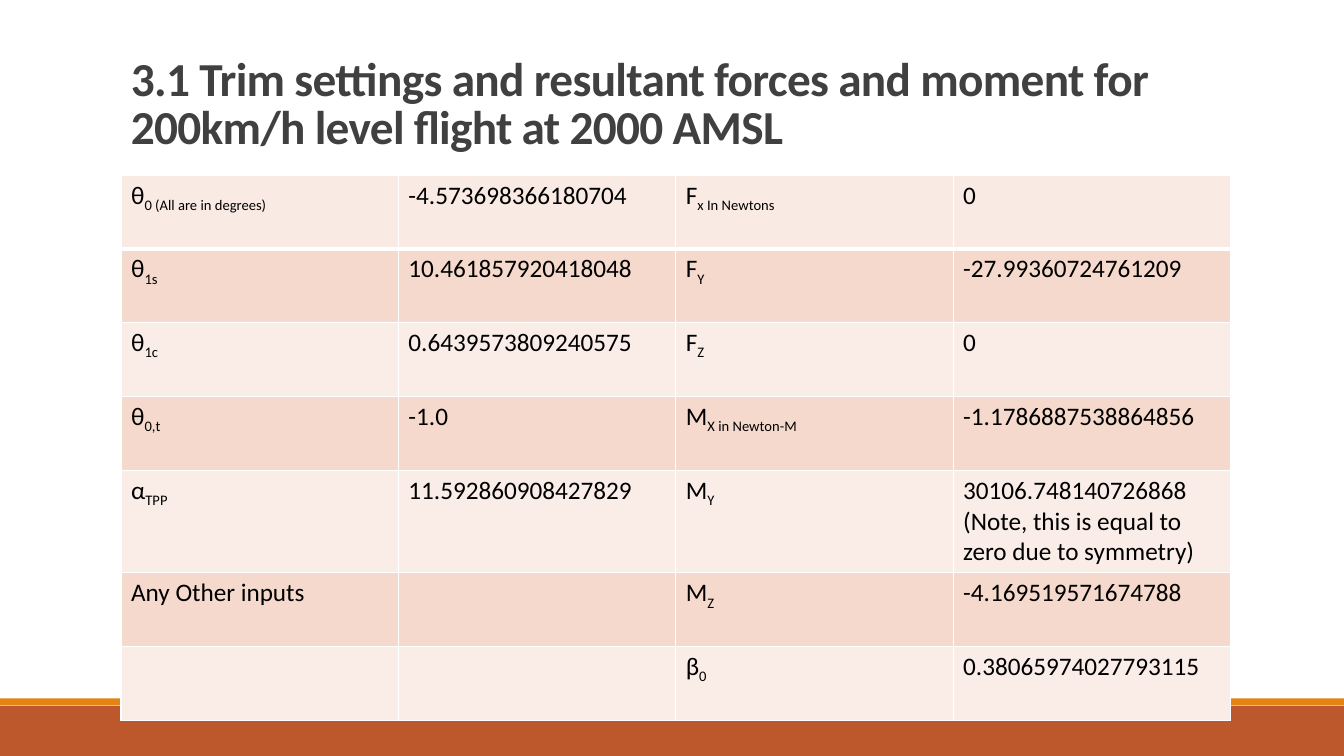
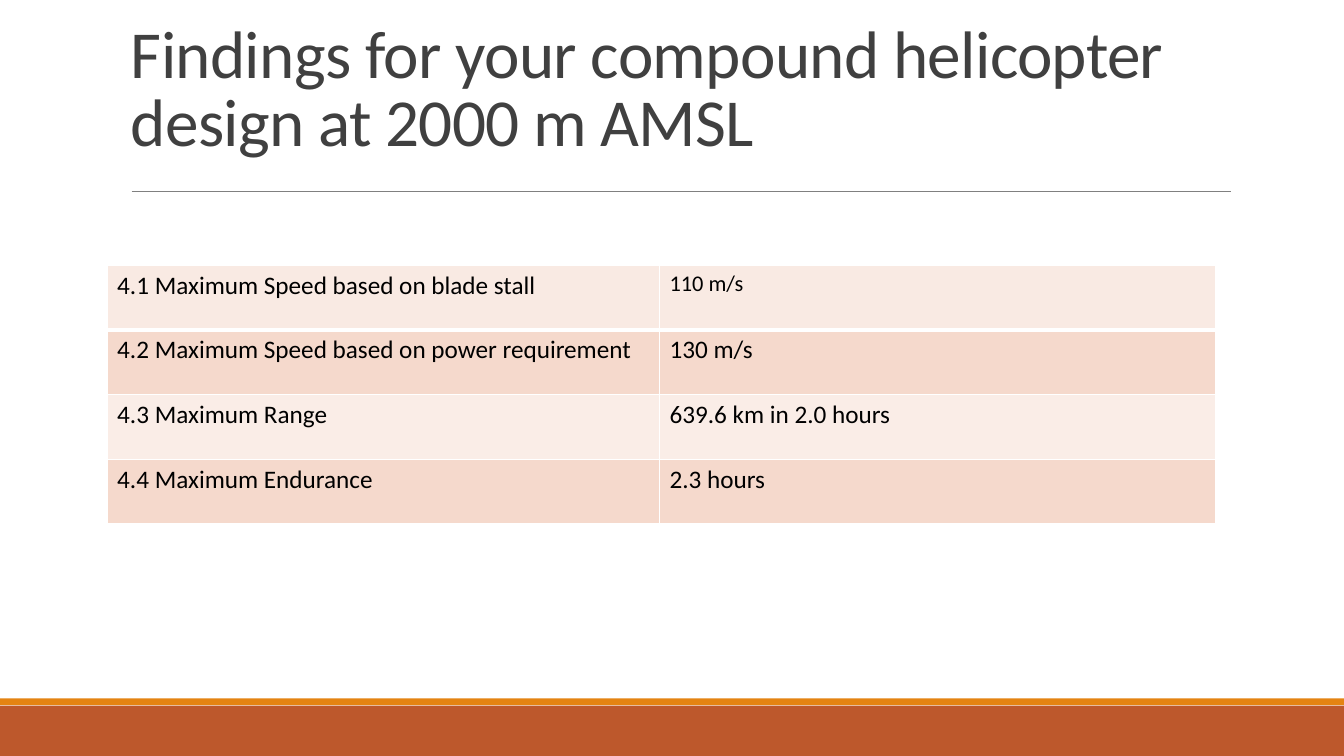
from dataclasses import dataclass

from lxml import etree
from pptx import Presentation
from pptx.dml import color
from pptx.enum import shapes, text
from pptx.oxml import ns
from pptx.util import Cm, Pt


@dataclass(frozen=True)
class Theme:
    font: str = "Calibri"
    band: str = "BD582C"
    stripe: str = "E48312"
    rule: str = "808080"
    title: str = "404040"
    body: str = "000000"
    border: str = "FFFFFF"
    header_fill: str = "F9EAE3"
    dark_fill: str = "F5D9CC"
    light_fill: str = "FAEDE7"
    title_size: float = 48
    long_title_size: float = 33.8
    body_size: float = 18
    small_size: float = 16
    rule_width: float = 0.5
    border_width: float = 0.96
    header_border_width: float = 3


THEME = Theme()
WIDTH, HEIGHT = 33.87, 19.05

TRIM_ROWS = [
    ["θ_0 (All are in degrees)", "-4.573698366180704", "F_x In Newtons", "0"],
    ["θ_1s", "10.461857920418048", "F_Y", "-27.99360724761209"],
    ["θ_1c", "0.6439573809240575", "F_Z", "0"],
    ["θ_0,t", "-1.0", "M_X in Newton-M", "-1.1786887538864856"],
    ["α_TPP", "11.592860908427829", "M_Y",
     "30106.748140726868\n(Note, this is equal to zero due to symmetry)"],
    ["Any Other inputs", "", "M_Z", "-4.169519571674788"],
    ["", "", "β_0", "0.38065974027793115"],
]

FINDINGS_ROWS = [
    ["4.1 Maximum Speed based on blade stall", "110 m/s"],
    ["4.2 Maximum Speed based on power requirement", "130 m/s"],
    ["4.3 Maximum Range", "639.6 km in 2.0 hours"],
    ["4.4 Maximum Endurance", "2.3 hours"],
]


def rgb(value):
    return color.RGBColor.from_string(value)


def set_attrs(obj, values):
    for name, value in values.items():
        setattr(obj, name, value)


def format_run(r, size, colour, bold=False, **xml_attrs):
    set_attrs(r.font, {"name": THEME.font, "size": Pt(size), "bold": bold})
    r.font.color.rgb = rgb(colour)
    rPr = r._r.get_or_add_rPr()
    for name, value in xml_attrs.items():
        rPr.set(name, value)


def add_bar(s, top, height, fill):
    sp = s.shapes.add_shape(
        shapes.MSO_SHAPE.RECTANGLE, 0, Cm(top), Cm(WIDTH), Cm(height))
    sp.shadow.inherit = False
    sp.fill.solid()
    sp.fill.fore_color.rgb = rgb(fill)
    sp.line.fill.background()


def add_rule(s, left, right, top):
    sp = s.shapes.add_connector(
        shapes.MSO_CONNECTOR.STRAIGHT, Cm(left), Cm(top), Cm(right), Cm(top))
    sp.line.color.rgb = rgb(THEME.rule)
    sp.line.width = Pt(THEME.rule_width)
    etree.SubElement(sp._element.spPr, ns.qn("a:effectLst"))


def add_title(s, top, height, words, size, bold=False):
    sp = s.shapes.add_textbox(Cm(3.05), Cm(top), Cm(27.94), Cm(height))
    tf = sp.text_frame
    set_attrs(tf, {"word_wrap": True, "vertical_anchor": text.MSO_ANCHOR.BOTTOM})
    p = tf.paragraphs[0]
    p.line_spacing = 0.85
    r = p.add_run()
    r.text = words
    format_run(r, size, THEME.title, bold, spc="-50")


def add_border(cell, side, width):
    ln = etree.SubElement(
        cell._tc.get_or_add_tcPr(), ns.qn(f"a:ln{side}"), w=str(Pt(width)))
    fill = etree.SubElement(ln, ns.qn("a:solidFill"))
    etree.SubElement(fill, ns.qn("a:srgbClr"), val=THEME.border)


def style_cell(cell, row):
    heavy = {(0, "B"), (1, "T")}
    for side in "LRTB":
        add_border(cell, side, THEME.header_border_width
                   if (row, side) in heavy else THEME.border_width)
    bands = (THEME.light_fill, THEME.dark_fill)
    cell.fill.solid()
    cell.fill.fore_color.rgb = rgb(bands[row % 2] if row else THEME.header_fill)


def write_cell(cell, words, size):
    base, _, subscript = words.partition("_")
    p = cell.text_frame.paragraphs[0]
    p.text = base
    for r in p.runs:
        format_run(r, size, THEME.body)
    if subscript:
        r = p.add_run()
        r.text = subscript
        format_run(r, size, THEME.body, baseline="-25000")


def add_table(s, left, top, widths, heights, rows, sizes=None):
    sizes = sizes or {}
    table = s.shapes.add_table(
        len(rows), len(widths), Cm(left), Cm(top),
        Cm(sum(widths)), Cm(sum(heights))).table
    set_attrs(table, {"first_row": False, "horz_banding": False})
    for column, width in zip(table.columns, widths):
        column.width = Cm(width)
    for i, (row, height, values) in enumerate(zip(table.rows, heights, rows)):
        row.height = Cm(height)
        for j, (cell, words) in enumerate(zip(row.cells, values)):
            style_cell(cell, i)
            write_cell(cell, words, sizes.get((i, j), THEME.body_size))


def add_slide(prs):
    s = prs.slides.add_slide(prs.slide_layouts[6])
    add_bar(s, 17.78, 1.27, THEME.band)
    add_bar(s, 17.6, 0.17, THEME.stripe)
    add_rule(s, 3.32, 31.01, 4.82)
    return s


def main():
    prs = Presentation()
    set_attrs(prs, {"slide_width": Cm(WIDTH), "slide_height": Cm(HEIGHT)})

    s = add_slide(prs)
    add_title(s, 0.79, 3.22,
              "3.1 Trim settings and resultant forces and moment for "
              "200km/h level flight at 2000 AMSL",
              THEME.long_title_size, bold=True)
    heights = [1.86] * 4 + [2.58] + [1.86] * 2
    add_table(s, 3.05, 4.41, [6.99] * 4, heights, TRIM_ROWS)

    s = add_slide(prs)
    add_title(s, 0.13, 4.04,
              "Findings for your compound helicopter design at 2000 m AMSL",
              THEME.title_size)
    add_table(s, 2.7, 6.68, [13.92, 14.02], [1.63] * 4, FINDINGS_ROWS,
              {(0, 1): THEME.small_size})

    prs.save("out.pptx")


if __name__ == "__main__":
    main()
